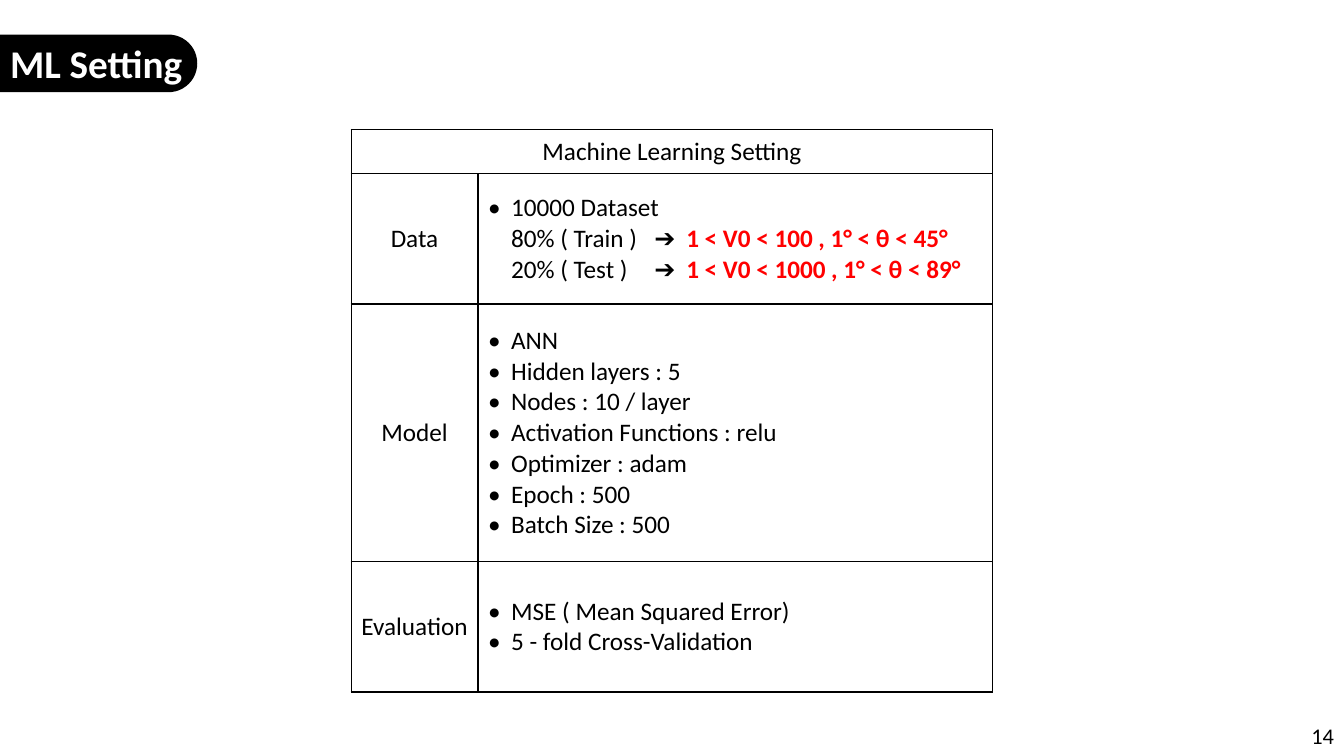
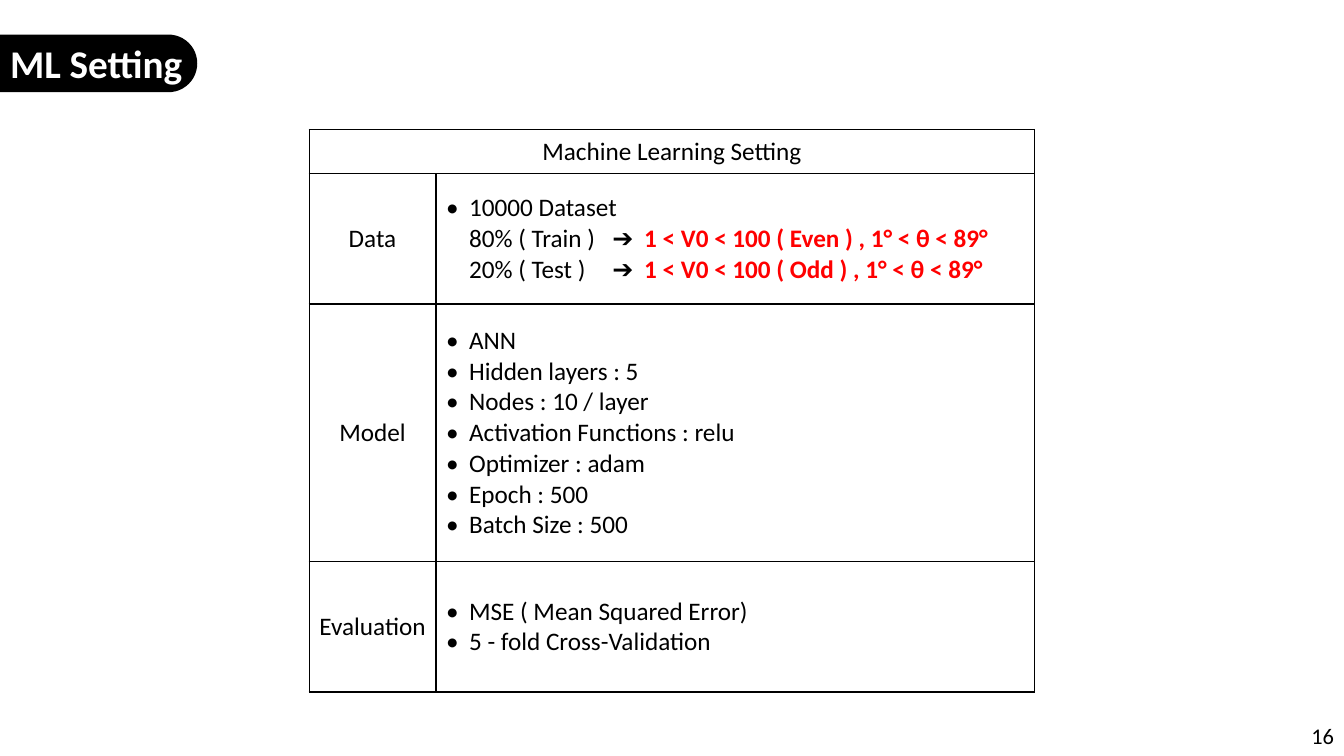
"""Build two machine learning setting slides on a grid of 160 columns by 90 rows."""
from lxml.etree import SubElement
from pptx import Presentation
from pptx.dml.color import RGBColor
from pptx.enum.shapes import MSO_SHAPE as Shape
from pptx.enum.text import MSO_ANCHOR as Anchor, MSO_AUTO_SIZE as AutoSize, PP_ALIGN as Align
from pptx.oxml.ns import qn
from pptx.util import Emu, Pt

COLUMNS, ROWS, UNIT = 160, 90, 76200
FONT = "Calibri"
COLORS = {"ink": "000000", "paper": "FFFFFF", "range": "FF0000"}

TITLE = "ML Setting"
TABLE_TOP = 15.4
LABEL_WIDTH = 15.1
ROW_HEIGHTS = [5.3, 15.5, 30.7, 15.5]
INDENT = 2.75
TAB_STOPS = [INDENT, 19.8, 23.6]

MODEL = ["ANN", "Hidden layers : 5", "Nodes : 10 / layer", "Activation Functions : relu",
         "Optimizer : adam", "Epoch : 500", "Batch Size : 500"]
EVALUATION = ["MSE ( Mean Squared Error)", "5 - fold Cross-Validation"]
SETTINGS = [
    {"number": "14", "detail_width": 61.3,
     "train": "1 < V0 < 100 , 1° < θ < 45°",
     "test": "1 < V0 < 1000 , 1° < θ < 89°"},
    {"number": "16", "detail_width": 71.3,
     "train": "1 < V0 < 100 ( Even ) , 1° < θ < 89°",
     "test": "1 < V0 < 100 ( Odd ) , 1° < θ < 89°"},
]


def grid(*units):
    """Turn grid units into lengths."""
    return [Emu(round(unit * UNIT)) for unit in units]


def color(name):
    """Look up a named colour."""
    return RGBColor.from_string(COLORS[name])


def add_span(para, text, size=18, ink="ink", bold=False):
    """Append one formatted run."""
    span = para.add_run()
    span.text = text
    span.font.name = FONT
    span.font.size = Pt(size)
    span.font.bold = bold
    span.font.color.rgb = color(ink)


def add_para(frame, align=Align.LEFT):
    """Return the first paragraph while it is empty, otherwise a new one."""
    first = frame.paragraphs[0]
    para = first if not first.runs else frame.add_paragraph()
    para.alignment = align
    return para


def add_bullets(frame, items):
    """Write a bulleted list."""
    indent = grid(INDENT)[0]
    for item in items:
        para = add_para(frame)
        properties = para._p.get_or_add_pPr()
        properties.set("marL", str(indent))
        properties.set("indent", str(-indent))
        SubElement(properties, qn("a:buFont"), typeface=FONT)
        SubElement(properties, qn("a:buChar"), char="•")
        add_span(para, item)


def add_split(frame, share, limits):
    """Write one data share, an arrow and its value range on tab stops."""
    para = add_para(frame)
    stops = SubElement(para._p.get_or_add_pPr(), qn("a:tabLst"))
    for stop in grid(*TAB_STOPS):
        SubElement(stops, qn("a:tab"), pos=str(stop), algn="l")
    add_span(para, f"\t{share}\t➔\t")
    add_span(para, limits, ink="range", bold=True)


def add_label(cell, text):
    """Write a centred cell label."""
    add_span(add_para(cell.text_frame, Align.CENTER), text)


def style_cell(cell):
    """Give a cell its fill, anchor and thin border."""
    cell.vertical_anchor = Anchor.MIDDLE
    cell.fill.solid()
    cell.fill.fore_color.rgb = color("paper")
    properties = cell._tc.get_or_add_tcPr()
    for place, side in enumerate(["lnL", "lnR", "lnT", "lnB"]):
        line = SubElement(properties, qn(f"a:{side}"), w=str(Pt(1)))
        fill = SubElement(line, qn("a:solidFill"))
        SubElement(fill, qn("a:srgbClr"), val=COLORS["ink"])
        properties.insert(place, line)


def add_title(page):
    """Place the title on a black tab at the left edge."""
    title = page.shapes.title
    title.left, title.top, title.width, title.height = grid(0, 4.1, 25, 6.8)
    frame = title.text_frame
    frame.word_wrap = True
    frame.auto_size = AutoSize.NONE
    frame.vertical_anchor = Anchor.MIDDLE
    add_span(add_para(frame), TITLE, size=28, ink="paper", bold=True)

    tab = page.shapes.add_shape(Shape.ROUNDED_RECTANGLE, *grid(-7.4, 4.2, 30.8, 6.7))
    tab.adjustments[0] = 0.5
    tab.shadow.inherit = False
    tab.fill.solid()
    tab.fill.fore_color.rgb = color("ink")
    tab.line.color.rgb = color("ink")
    tab.line.width = Pt(1)
    title.element.addprevious(tab.element)


def add_page_number(page, number):
    """Write the page number in the bottom right corner."""
    box = page.shapes.add_textbox(*grid(COLUMNS - 36, ROWS - 4.8, 36, 4.8))
    frame = box.text_frame
    frame.word_wrap = True
    frame.vertical_anchor = Anchor.MIDDLE
    add_span(add_para(frame, Align.RIGHT), number, size=16)


def add_setting_table(page, setting):
    """Add the centred table of data, model and evaluation settings."""
    widths = [LABEL_WIDTH, setting["detail_width"]]
    width = sum(widths)
    place = grid((COLUMNS - width) / 2, TABLE_TOP, width, sum(ROW_HEIGHTS))
    table = page.shapes.add_table(len(ROW_HEIGHTS), len(widths), *place).table
    table.first_row = table.horz_banding = False
    for column, length in zip(table.columns, grid(*widths)):
        column.width = length
    for row, length in zip(table.rows, grid(*ROW_HEIGHTS)):
        row.height = length
    for cell in table.iter_cells():
        style_cell(cell)

    heading = table.cell(0, 0)
    heading.merge(table.cell(0, 1))
    add_label(heading, "Machine Learning Setting")
    details = {"Data": ["10000 Dataset"], "Model": MODEL, "Evaluation": EVALUATION}
    for row, (label, items) in enumerate(details.items(), start=1):
        add_label(table.cell(row, 0), label)
        add_bullets(table.cell(row, 1).text_frame, items)
    data = table.cell(1, 1).text_frame
    add_split(data, "80% ( Train )", setting["train"])
    add_split(data, "20% ( Test )", setting["test"])


def main():
    """Build and save the deck."""
    deck = Presentation()
    deck.slide_width, deck.slide_height = grid(COLUMNS, ROWS)
    title_only = deck.slide_layouts.get_by_name("Title Only")
    for setting in SETTINGS:
        page = deck.slides.add_slide(title_only)
        add_title(page)
        add_setting_table(page, setting)
        add_page_number(page, setting["number"])
    deck.save("out.pptx")


if __name__ == "__main__":
    main()
